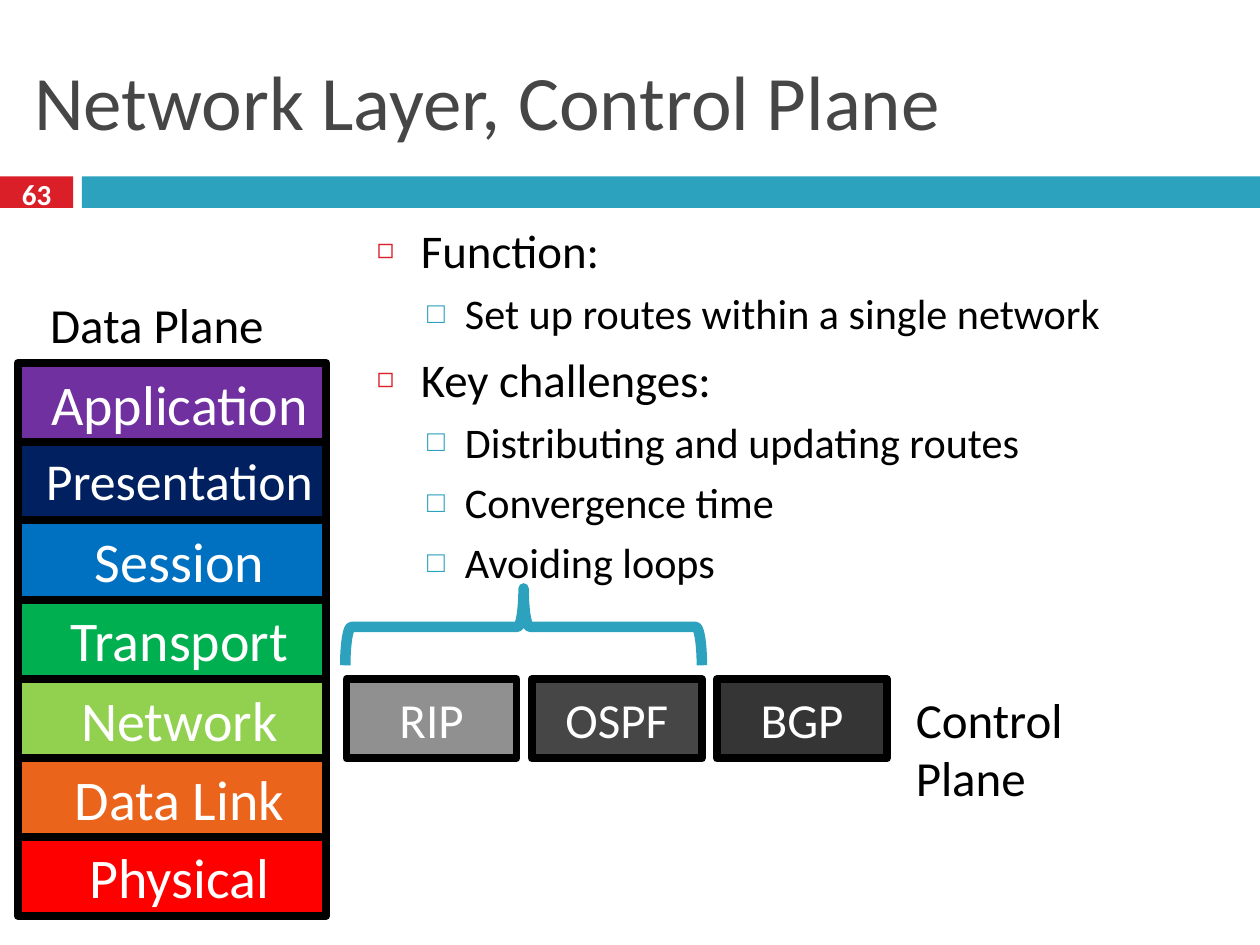
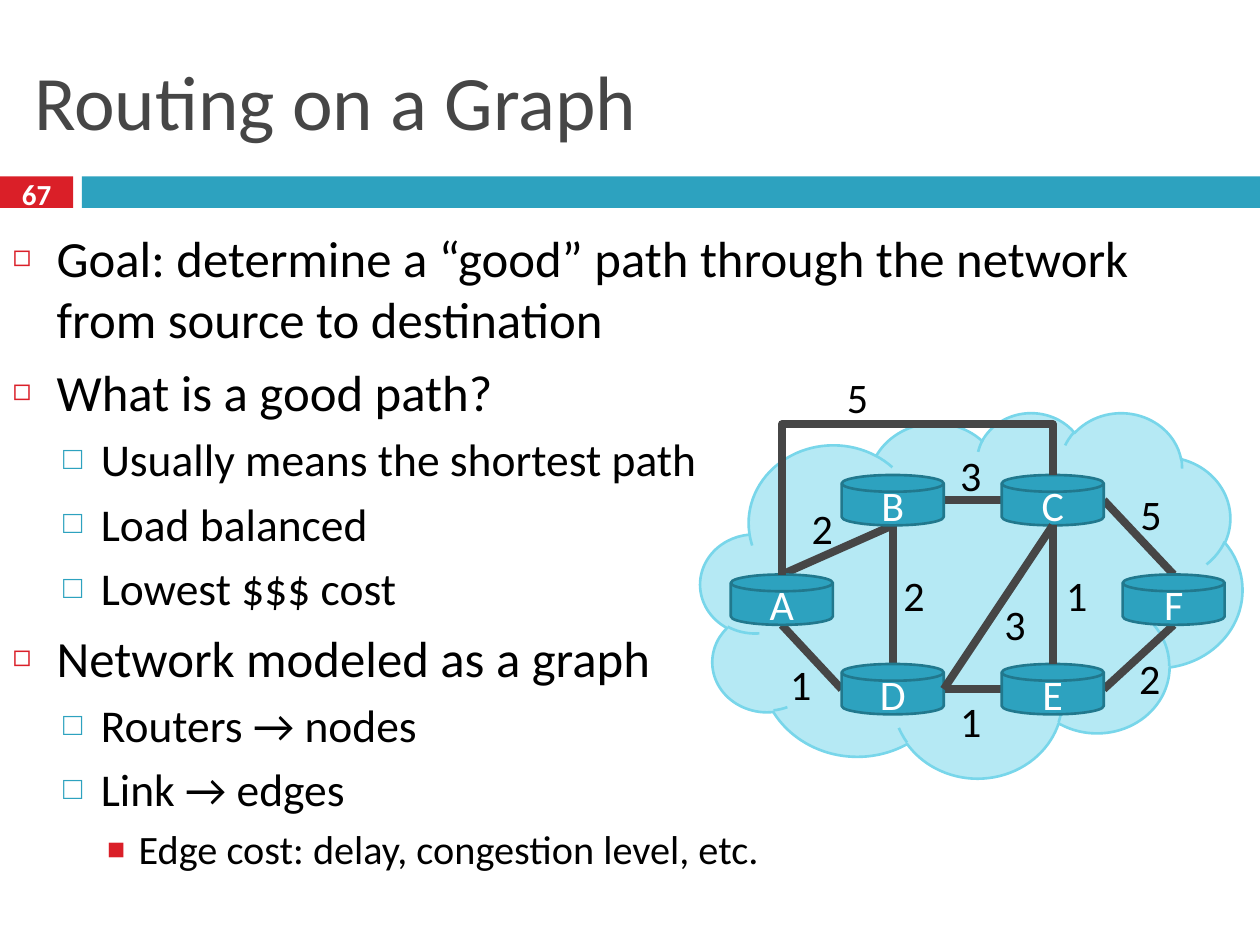
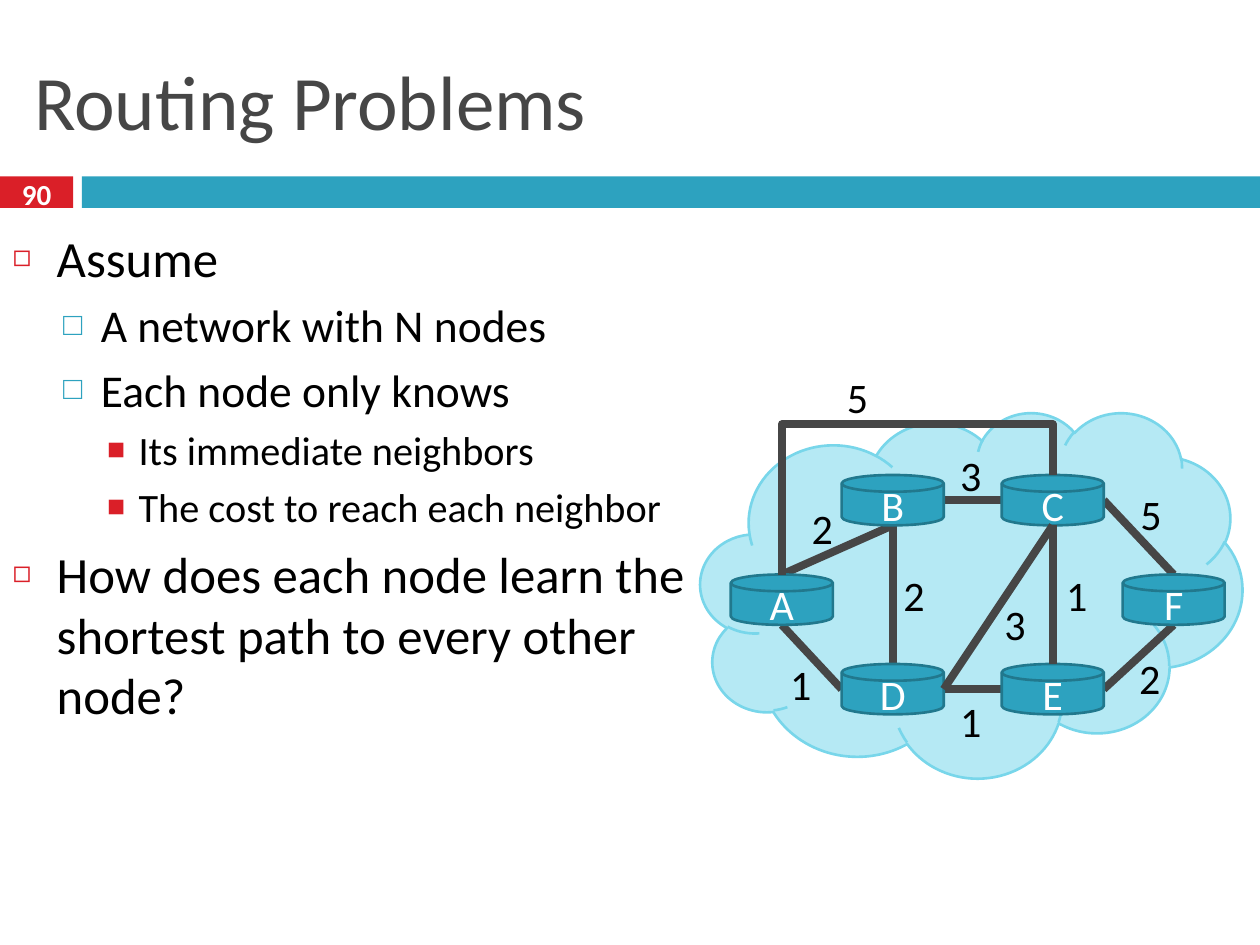
"""Build three slides on the network control plane and routing graphs."""
from lxml import etree
from pptx import Presentation
from pptx.dml.color import RGBColor
from pptx.enum.shapes import MSO_CONNECTOR as LINE, MSO_SHAPE as SHAPE
from pptx.enum.text import MSO_ANCHOR as ANCHOR, MSO_AUTO_SIZE as FIT, PP_ALIGN as ALIGN
from pptx.oxml.ns import qn
from pptx.util import Pt

PX = 9144
FONT = "Calibri"
COLORS = {
    "red": "DA1F28", "teal": "2DA2BF", "title": "464646", "black": "000000",
    "white": "FFFFFF", "cloud": "B5E9F4", "cloud_edge": "78D6EA",
    "router_edge": "21788D", "link": "464646",
    "application": "7030A0", "presentation": "002060", "session": "0070C0",
    "transport": "00B050", "network": "92D050", "data_link": "EB641B",
    "physical": "FF0000", "rip": "909090", "ospf": "464646", "bgp": "353535",
}
BULLETS = [
    {"left": 35, "hang": 35, "before": 7, "char": "◻", "color": "red", "size": 60},
    {"left": 70, "hang": 30, "before": 5.5, "char": "□", "color": "teal", "size": 70},
    {"left": 100, "hang": 25, "before": 5, "char": "■", "color": "red", "size": 75},
]
LAYERS = [
    ("Application", "application", 32), ("Presentation", "presentation", 29.6),
    ("Session", "session", 32), ("Transport", "transport", 32),
    ("Network", "network", 32), ("Data Link", "data_link", 32),
    ("Physical", "physical", 32),
]
PROTOCOLS = [("RIP", "rip"), ("OSPF", "ospf"), ("BGP", "bgp")]
ROUTER_W, ROUTER_H = 81, 40
ROUTERS = {"A": (580, 456), "B": (668, 377), "C": (795, 377),
           "D": (668, 527), "E": (795, 527), "F": (891, 456)}
SIDES = {"top": (0.5, 0), "bottom": (0.5, 1), "left": (0, 0.5), "right": (1, 0.5)}
BACK_LINKS = ["F bottom E right", "C right F top", "B right C left", "E left D right",
              "A bottom D left", "A top B bottom", "D top B bottom"]
FRONT_LINKS = ["C bottom D right", "C bottom E top"]
COSTS = [("5", 661, 290), ("2", 633, 394), ("3", 751, 352), ("5", 894, 383),
         ("2", 893, 513), ("1", 751, 547), ("1", 616, 518), ("2", 706, 447),
         ("3", 786, 470), ("1", 835, 447)]


def rgb(name):
    return RGBColor.from_string(COLORS[name])


def emu(*lengths):
    return [round(length * PX) for length in lengths]


def place(shape, box):
    shape.left, shape.top, shape.width, shape.height = emu(*box)


def format_runs(p, size, color, bold=False):
    for r in p.runs:
        r.font.name, r.font.size, r.font.bold = FONT, Pt(size), bold
        r.font.color.rgb = rgb(color)


def write(shape, text, size, color, align=ALIGN.CENTER, anchor=ANCHOR.MIDDLE,
          wrap=True, bold=False):
    tf = shape.text_frame
    tf.text = text
    tf.word_wrap, tf.auto_size, tf.vertical_anchor = wrap, FIT.NONE, anchor
    p = tf.paragraphs[0]
    p.alignment = align
    format_runs(p, size, color, bold)
    return p


def add_label(s, text, box, size, color="black", **style):
    return write(s.shapes.add_textbox(*emu(*box)), text, size, color, **style)


def add_block(s, kind, box, fill=None, edge=None, weight=0):
    sp = s.shapes.add_shape(kind, *emu(*box))
    sp.shadow.inherit = False
    if fill:
        sp.fill.solid()
        sp.fill.fore_color.rgb = rgb(fill)
    else:
        sp.fill.background()
    if edge:
        sp.line.color.rgb = rgb(edge)
        sp.line.width = Pt(weight)
    else:
        sp.line.fill.background()
    return sp


def add_line(s, kind, start, end):
    line = s.shapes.add_connector(kind, *emu(*start, *end))
    line.line.color.rgb = rgb("link")
    line.line.width = Pt(4.5)
    etree.SubElement(line._element.spPr, qn("a:effectLst"))
    return line


def add_arch(s, start, end, bend):
    """Draw an elbow that leaves and enters vertically, bending past its end."""
    (x1, y1), (x2, y2) = start, end
    cx, cy = (x1 + x2) / 2, (y1 + y2) / 2
    dx, dy = (x2 - x1) / 2, (y1 - y2) / 2
    line = add_line(s, LINE.ELBOW, (cx + dy, cy + dx), (cx - dy, cy - dx))
    sp_pr = line._element.spPr
    sp_pr.find(qn("a:xfrm")).set("rot", "5400000")
    adjust = sp_pr.find(qn("a:prstGeom")).find(qn("a:avLst"))
    etree.SubElement(adjust, qn("a:gd"), name="adj1", fmla=f"val {round(bend * 100000)}")


def add_bullet(p, style):
    p_pr = p._p.get_or_add_pPr()
    left, hang = emu(style["left"], style["hang"])
    p_pr.set("marL", str(left))
    p_pr.set("indent", str(-hang))
    color = etree.SubElement(p_pr, qn("a:buClr"))
    etree.SubElement(color, qn("a:srgbClr"), val=COLORS[style["color"]])
    etree.SubElement(p_pr, qn("a:buSzPct"), val=str(style["size"] * 1000))
    etree.SubElement(p_pr, qn("a:buChar"), char=style["char"])


def fill_body(s, box, items, sizes):
    body = s.placeholders[1]
    place(body, box)
    tf = body.text_frame
    tf.word_wrap, tf.auto_size, tf.vertical_anchor = True, FIT.NONE, ANCHOR.TOP
    for i, (level, text) in enumerate(items):
        p = tf.add_paragraph() if i else tf.paragraphs[0]
        p.text, p.level = text, level
        add_bullet(p, BULLETS[level])
        p.space_before = Pt(BULLETS[level]["before"] if i else 0)
        format_runs(p, sizes[level], "black")


def add_slide(prs, title, number):
    s = prs.slides.add_slide(prs.slide_layouts[1])
    add_block(s, SHAPE.RECTANGLE, (0, 140, 58, 25), "red")
    add_block(s, SHAPE.RECTANGLE, (65, 140, 935, 25), "teal")
    place(s.shapes.title, (17, 25, 967, 108))
    write(s.shapes.title, title, 44, "title", align=ALIGN.LEFT)
    add_label(s, number, (0, 137, 58, 33), 16.6, "white", bold=True)
    return s


def add_layer_stack(s):
    for i, (name, fill, size) in enumerate(LAYERS):
        box = (14, round(288 + 62.7 * i), 245, 63)
        sp = add_block(s, SHAPE.RECTANGLE, box, fill, "black", 4.5)
        p = write(sp, name, size, "white", anchor=ANCHOR.TOP)
        p._p.get_or_add_pPr().set("marL", str(12 * PX))


def add_protocols(s):
    brace = add_block(s, SHAPE.LEFT_BRACE, (385, 356, 61, 283), None, "teal", 6)
    brace.rotation = 90
    brace.adjustments[0] = 0.08
    for i, (name, fill) in enumerate(PROTOCOLS):
        box = (275 + 147 * i, 539, 135, 63)
        sp = add_block(s, SHAPE.RECTANGLE, box, fill, "black", 4.5)
        write(sp, name, 28, "white")


def site(router, side):
    (x, y), (fx, fy) = ROUTERS[router], SIDES[side]
    return x + fx * ROUTER_W, y + fy * ROUTER_H


def add_links(s, links):
    for link in links:
        start, start_side, end, end_side = link.split()
        add_line(s, LINE.STRAIGHT, site(start, start_side), site(end, end_side))


def add_network(s):
    add_block(s, SHAPE.CLOUD, (556, 327, 430, 290), "cloud", "cloud_edge", 1.5)
    add_links(s, BACK_LINKS)
    for name, (x, y) in ROUTERS.items():
        sp = add_block(s, SHAPE.FLOWCHART_MAGNETIC_DISK, (x, y, ROUTER_W, ROUTER_H),
                       "teal", "router_edge", 1.5)
        write(sp, name, 24, "white")
    add_links(s, FRONT_LINKS)
    add_arch(s, site("A", "top"), site("C", "top"), 1.51)
    for cost, x, y in COSTS:
        add_label(s, cost, (x, y, 39, 50), 24, anchor=ANCHOR.TOP, wrap=False)


def build_control_plane(prs):
    s = add_slide(prs, "Network Layer, Control Plane", "63")
    fill_body(s, (289, 171, 695, 296), [
        (0, "Function:"),
        (1, "Set up routes within a single network"),
        (0, "Key challenges:"),
        (1, "Distributing and updating routes"),
        (1, "Convergence time"),
        (1, "Avoiding loops"),
    ], (26.8, 24.1))
    add_layer_stack(s)
    add_protocols(s)
    plane = {"align": ALIGN.LEFT, "anchor": ANCHOR.TOP}
    add_label(s, "Control Plane", (717, 542, 200, 57), 28, **plane)
    add_label(s, "Data Plane", (30, 229, 215, 57), 28, **plane)


def build_graph(prs):
    s = add_slide(prs, "Routing on a Graph", "67")
    fill_body(s, (0, 175, 983, 558), [
        (0, "Goal: determine a “good” path through the network from source to destination"),
        (0, "What is a good path?"),
        (1, "Usually means the shortest path"),
        (1, "Load balanced"),
        (1, "Lowest $$$ cost"),
        (0, "Network modeled as a graph"),
        (1, "Routers → nodes"),
        (1, "Link → edges"),
        (2, "Edge cost: delay, congestion level, etc."),
    ], (29, 26, 23))
    add_network(s)


def build_problems(prs):
    s = add_slide(prs, "Routing Problems", "90")
    fill_body(s, (0, 175, 580, 558), [
        (0, "Assume"),
        (1, "A network with N nodes"),
        (1, "Each node only knows"),
        (2, "Its immediate neighbors"),
        (2, "The cost to reach each neighbor"),
        (0, "How does each node learn the shortest path to every other node?"),
    ], (29, 26, 23))
    add_network(s)


def main():
    prs = Presentation()
    prs.slide_width, prs.slide_height = emu(1000, 750)
    build_control_plane(prs)
    build_graph(prs)
    build_problems(prs)
    prs.save("out.pptx")


if __name__ == "__main__":
    main()
